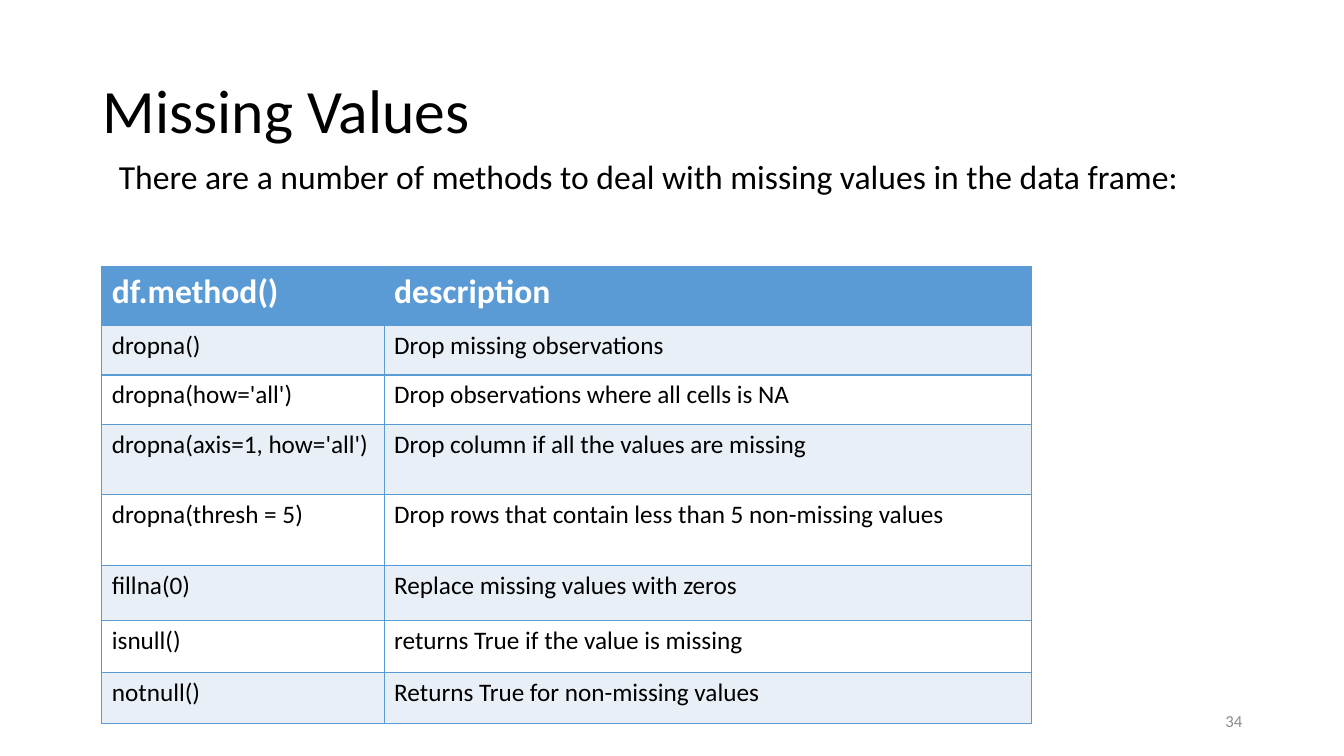
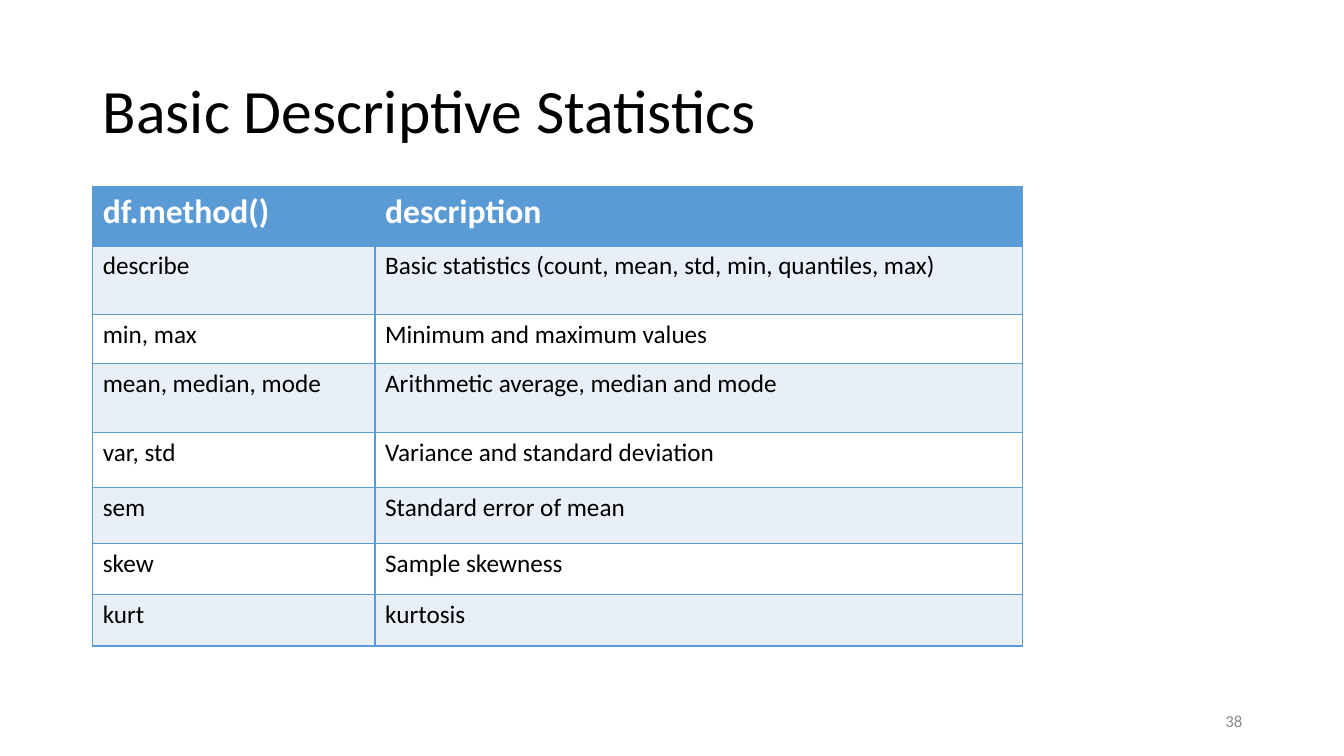
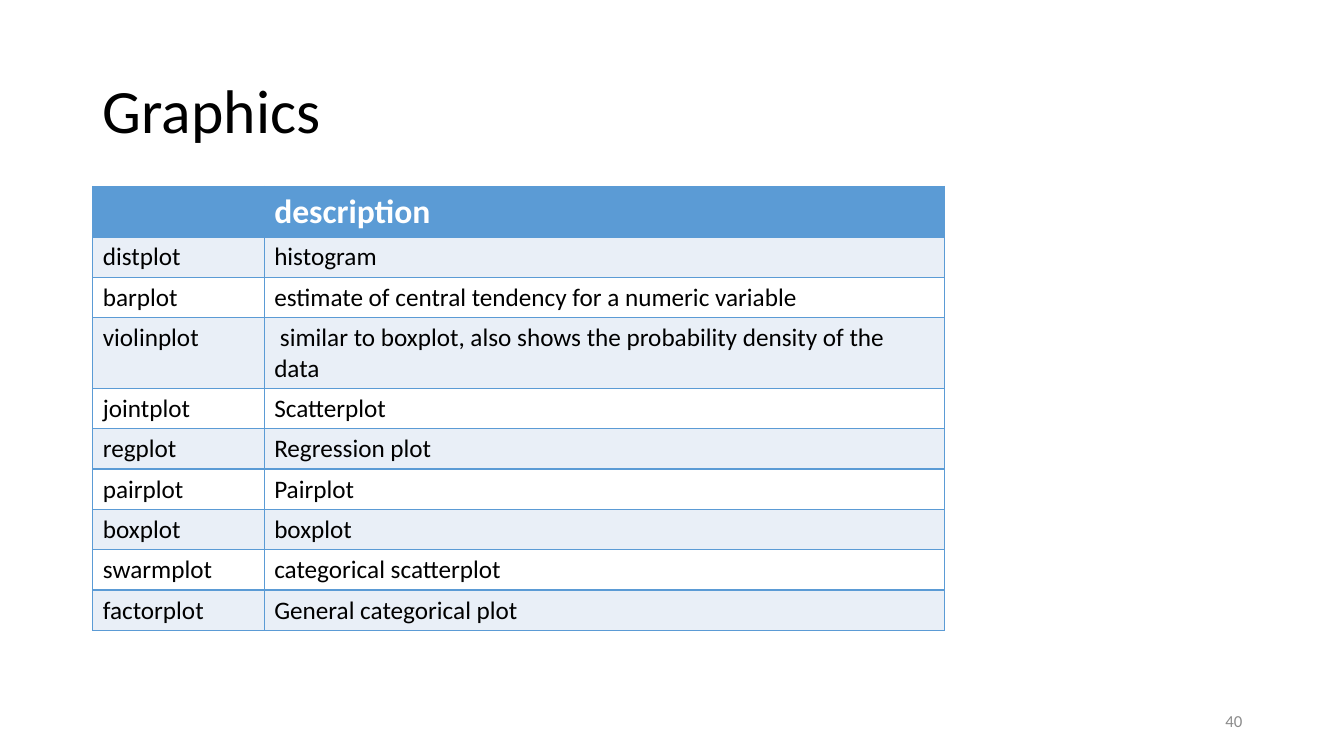
from dataclasses import dataclass

from lxml import etree
from pptx import Presentation
from pptx.dml.color import RGBColor
from pptx.enum.text import MSO_ANCHOR, PP_ALIGN
from pptx.oxml.ns import qn
from pptx.slide import Slide
from pptx.table import _Cell
from pptx.text.text import TextFrame
from pptx.util import Inches, Pt

LEFT, RIGHT = PP_ALIGN.LEFT, PP_ALIGN.RIGHT
TOP, MIDDLE = MSO_ANCHOR.TOP, MSO_ANCHOR.MIDDLE

FONT = "Calibri"
BLACK, WHITE, GRAY = "000000", "FFFFFF", "8B8B8B"
BLUE, PALE = "5B9BD5", "E9EFF7"
EDGE = 0.96
TITLE_ONLY = 5

Box = tuple[float, float, float, float]
TITLE_BOX: Box = (0.92, 0.4, 11.5, 1.45)
INTRO_BOX: Box = (1.08, 1.5, 11.39, 0.9)
NUMBER_BOX: Box = (9.42, 6.95, 3, 0.4)


@dataclass
class Grid:
    left: float
    top: float
    widths: list[float]
    heights: list[float]
    cells: list[tuple[str, str]]


@dataclass
class Page:
    title: str
    number: int
    grid: Grid
    intro: str = ""


PAGES = [
    Page(
        "Missing Values", 34,
        Grid(1.01, 2.64, [2.8, 6.42],
             [0.59, 0.49, 0.49, 0.7, 0.7, 0.55, 0.51, 0.51], [
            ("df.method()", "description"),
            ("dropna()", "Drop missing observations"),
            ("dropna(how='all')", "Drop observations where all cells is NA"),
            ("dropna(axis=1, how='all')", "Drop column if all the values are missing"),
            ("dropna(thresh = 5)", "Drop rows that contain less than 5 non-missing values"),
            ("fillna(0)", "Replace missing values with zeros"),
            ("isnull()", "returns True if the value is missing"),
            ("notnull()", "Returns True for non-missing values"),
        ]),
        "There are a number of methods to deal with missing values in the data frame:",
    ),
    Page(
        "Basic Descriptive Statistics", 38,
        Grid(0.92, 1.85, [2.8, 6.42],
             [0.59, 0.68, 0.49, 0.68, 0.55, 0.55, 0.51, 0.51], [
            ("df.method()", "description"),
            ("describe", "Basic statistics (count, mean, std, min, quantiles, max)"),
            ("min, max", "Minimum and maximum values"),
            ("mean, median, mode", "Arithmetic average, median and mode"),
            ("var, std", "Variance and standard deviation"),
            ("sem", "Standard error of mean"),
            ("skew", "Sample skewness"),
            ("kurt", "kurtosis"),
        ]),
    ),
    Page(
        "Graphics", 40,
        Grid(0.92, 1.85, [1.7, 6.75], [0.5, 0.4, 0.4, 0.7] + [0.4] * 6, [
            ("", "description"),
            ("distplot", "histogram"),
            ("barplot", "estimate of central tendency for a numeric variable"),
            ("violinplot", " similar to boxplot, also shows the probability density of the data"),
            ("jointplot", "Scatterplot"),
            ("regplot", "Regression plot"),
            ("pairplot", "Pairplot"),
            ("boxplot", "boxplot"),
            ("swarmplot", "categorical scatterplot"),
            ("factorplot", "General categorical plot"),
        ]),
    ),
]


def color(code: str) -> RGBColor:
    return RGBColor.from_string(code)


def write(frame: TextFrame, text: str, *, size: float, ink: str = BLACK,
          bold: bool = False, align: PP_ALIGN = LEFT,
          spacing: float | None = None) -> None:
    para = frame.paragraphs[0]
    para.alignment = align
    para.line_spacing = spacing
    run = para.add_run()
    run.text = text
    font = run.font
    font.name, font.size, font.bold = FONT, Pt(size), bold
    font.color.rgb = color(ink)


def add_label(slide: Slide, box: Box, text: str, *,
              anchor: MSO_ANCHOR = TOP, **style) -> None:
    frame = slide.shapes.add_textbox(*map(Inches, box)).text_frame
    frame.word_wrap = True
    frame.vertical_anchor = anchor
    write(frame, text, **style)


def add_title(slide: Slide, text: str) -> None:
    title = slide.shapes.title
    title.left, title.top, title.width, title.height = map(Inches, TITLE_BOX)
    title.text_frame.vertical_anchor = MIDDLE
    write(title.text_frame, text, size=44, spacing=0.9)


def add_edges(cell: _Cell) -> None:
    """Outline a cell; call before filling, as lines precede fill in the XML."""
    props = cell._tc.get_or_add_tcPr()
    for side in ("lnL", "lnR", "lnT", "lnB"):
        line = etree.SubElement(props, qn(f"a:{side}"), w=str(Pt(EDGE)))
        fill = etree.SubElement(line, qn("a:solidFill"))
        etree.SubElement(fill, qn("a:srgbClr"), val=BLUE)


def fill_cell(cell: _Cell, text: str, row: int) -> None:
    head = row == 0
    add_edges(cell)
    cell.fill.solid()
    cell.fill.fore_color.rgb = color(BLUE if head else PALE if row % 2 else WHITE)
    if text:
        write(cell.text_frame, text, size=24 if head else 18,
              ink=WHITE if head else BLACK, bold=head)


def add_grid(slide: Slide, grid: Grid) -> None:
    box = (grid.left, grid.top, sum(grid.widths), sum(grid.heights))
    table = slide.shapes.add_table(
        len(grid.heights), len(grid.widths), *map(Inches, box)).table
    for column, width in zip(table.columns, grid.widths):
        column.width = Inches(width)
    for row, height in zip(table.rows, grid.heights):
        row.height = Inches(height)
    for row, texts in enumerate(grid.cells):
        for col, text in enumerate(texts):
            fill_cell(table.cell(row, col), text, row)


def main() -> None:
    deck = Presentation()
    deck.slide_width, deck.slide_height = Inches(13.33), Inches(7.5)
    for page in PAGES:
        slide = deck.slides.add_slide(deck.slide_layouts[TITLE_ONLY])
        add_title(slide, page.title)
        add_label(slide, NUMBER_BOX, str(page.number), size=12, ink=GRAY,
                  align=RIGHT, anchor=MIDDLE)
        if page.intro:
            add_label(slide, INTRO_BOX, page.intro, size=24)
        add_grid(slide, page.grid)
    deck.save("out.pptx")


if __name__ == "__main__":
    main()
